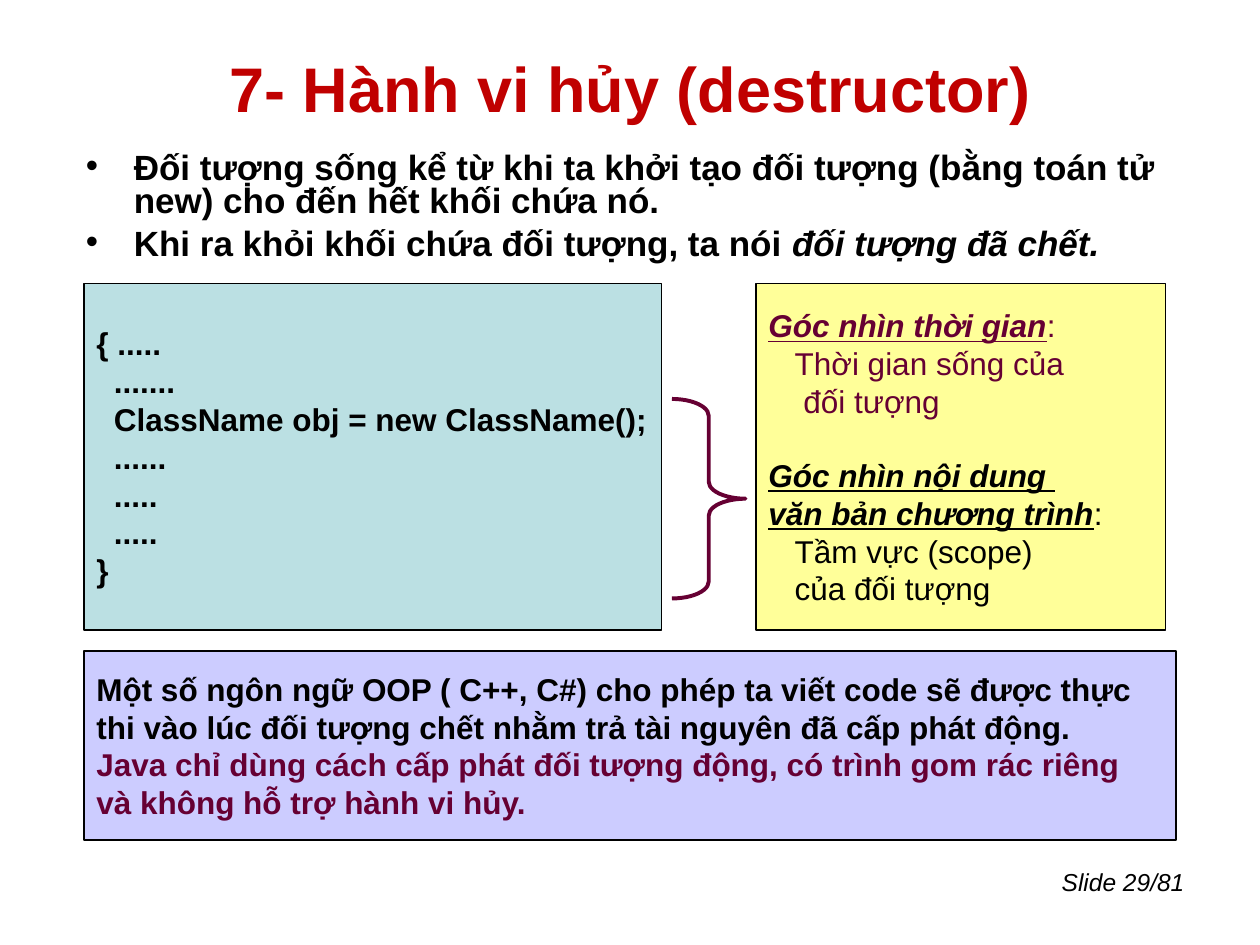
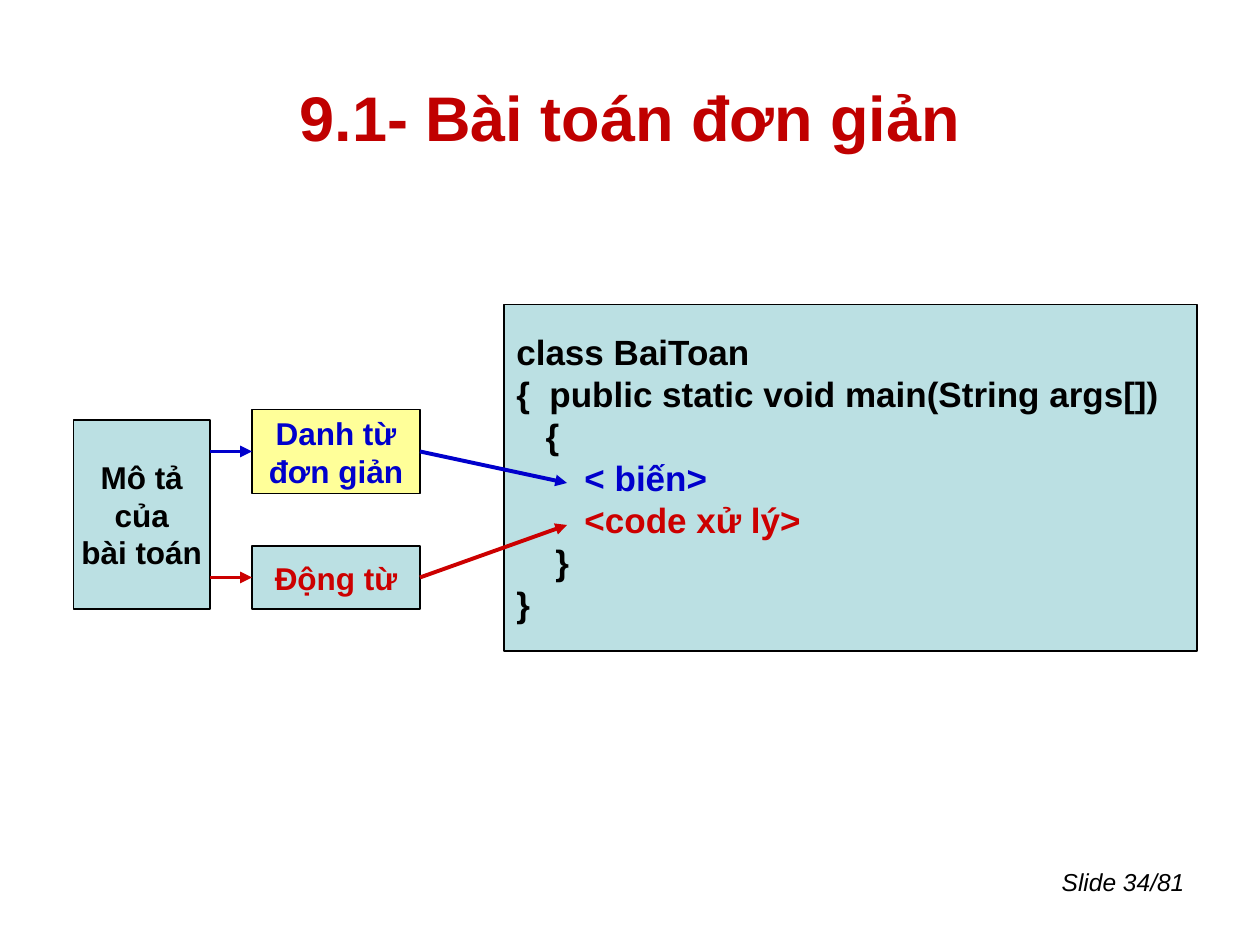
from lxml import etree
from pptx import Presentation, util as u
from pptx.dml.color import RGBColor
from pptx.enum import shapes, text
from pptx.oxml.ns import qn

BLACK = RGBColor(0, 0, 0)
TITLE_RED = RGBColor(0xC0, 0, 0)
RED = RGBColor(0xCC, 0, 0)
BLUE = RGBColor(0, 0, 0xCC)
PLUM = RGBColor(0x66, 0, 0x33)
TEAL = RGBColor(0xBB, 0xE0, 0xE3)
YELLOW = RGBColor(0xFF, 0xFF, 0x99)
LILAC = RGBColor(0xCC, 0xCC, 0xFF)

FONT = "Arial"
COLUMNS, ROWS = 120, 90          # grid over the slide
CELL = u.Inches(10) // COLUMNS
SPACE_EM = 0.278                 # width of one indent step, in ems
SLIDE_TOTAL = 81
LEFT, CENTER, RIGHT = (text.PP_ALIGN.LEFT, text.PP_ALIGN.CENTER, text.PP_ALIGN.RIGHT)


def line(words, color=BLACK, style="b", indent=0, before=0):
    """One paragraph with a single span; style letters: b, i, u."""
    return {"spans": [(words, color, style)], "indent": indent, "before": before}


def lines(*words, color=BLACK):
    return [line(w, color) for w in words]


def heading(words, color, before=0, end=":"):
    para = line(words, color, "biu", before=before)
    if end:
        para["spans"].append((end, color, ""))
    return para


BULLETS = [
    line("Đối tượng sống kể từ khi ta khởi tạo đối tượng (bằng toán tử new) "
         "cho đến hết khối chứa nó.", before=5),
    {"spans": [("Khi ra khỏi khối chứa đối tượng, ta nói ", BLACK, "b"),
               ("đối tượng đã chết.", BLACK, "bi")], "indent": 0, "before": 5},
]
BLOCK_CODE = [
    line("{ ....."),
    *[line(w, indent=2) for w in (".......", "ClassName obj = new ClassName();",
                                  "......", ".....", ".....")],
    line("}"),
]
VIEWPOINTS = [
    heading("Góc nhìn thời gian", PLUM),
    line("Thời gian sống của", PLUM, "", indent=3),
    line("đối tượng", PLUM, "", indent=4),
    heading("Góc nhìn nội dung ", BLACK, before=20.7, end=""),
    heading("văn bản chương trình", BLACK),
    line("Tầm vực (scope)", BLACK, "", indent=3),
    line("của đối tượng", BLACK, "", indent=3),
]
NOTE = [
    *lines("Một số ngôn ngữ OOP ( C++, C#) cho phép ta viết code sẽ được thực",
           "thi vào lúc đối tượng chết nhằm trả tài nguyên đã cấp phát động."),
    *lines("Java chỉ dùng cách cấp phát đối tượng động, có trình gom rác riêng",
           "và không hỗ trợ hành vi hủy.", color=PLUM),
]
CLASS_CODE = [
    line("class BaiToan"),
    line("{  public static void main(String args[])"),
    line("{", indent=3),
    line("< biến>", BLUE, indent=7),
    line("<code xử lý>", RED, indent=7),
    line("}", indent=4),
    line("}"),
]

# area (column, row, columns, rows), fill, paragraphs, alignment, text size
DESTRUCTOR_BOXES = [
    ((8, 27, 55, 33), TEAL, BLOCK_CODE, LEFT, 18),
    ((72, 27, 39, 33), YELLOW, VIEWPOINTS, LEFT, 18),
    ((8, 62, 104, 18), LILAC, NOTE, LEFT, 18),
]
PROBLEM_BOXES = [
    ((7, 40, 13, 18), TEAL, lines("Mô tả", "của", "bài toán"), CENTER, 18),
    ((24, 39, 16, 8), YELLOW, lines("Danh từ", "đơn giản", color=BLUE), CENTER, 18),
    ((24, 52, 16, 6), TEAL, lines("Động từ", color=RED), CENTER, 18),
    ((48, 29, 66, 33), TEAL, CLASS_CODE, LEFT, 20),
]
# start, end, color
PROBLEM_ARROWS = [
    ((20, 43), (24, 43), BLUE),
    ((20, 55), (24, 55), RED),
    ((40, 43), (54, 46), BLUE),
    ((40, 55), (54, 50), RED),
]


def grid(*cells):
    return [u.Emu(round(c * CELL)) for c in cells]


def write(frame, paras, size, align=LEFT, anchor=text.MSO_ANCHOR.TOP, wrap=True):
    frame.word_wrap = wrap
    frame.vertical_anchor = anchor
    for i, content in enumerate(paras):
        para = frame.paragraphs[0] if i == 0 else frame.add_paragraph()
        para.alignment = align
        para.space_before = u.Pt(content["before"])
        if content["indent"]:
            margin = u.Pt(content["indent"] * SPACE_EM * size)
            para._p.get_or_add_pPr().set("marL", str(margin))
        for words, color, style in content["spans"]:
            span = para.add_run()
            span.text = words
            font = span.font
            font.name, font.size = FONT, u.Pt(size)
            font.color.rgb = color
            font.bold, font.italic, font.underline = (s in style for s in "biu")


def add_text(page, area, paras, size, **layout):
    box = page.shapes.add_textbox(*grid(*area))
    write(box.text_frame, paras, size, **layout)
    return box


def add_bullets(page, area, paras, size):
    box = add_text(page, area, paras, size)
    for para in box.text_frame.paragraphs:
        para.line_spacing = 0.8
        props = para._p.get_or_add_pPr()
        props.set("marL", str(u.Inches(0.38)))
        props.set("indent", str(-u.Inches(0.38)))
        etree.SubElement(props, qn("a:buFont")).set("typeface", FONT)
        etree.SubElement(props, qn("a:buChar")).set("char", "•")


def add_box(page, area, fill, paras, align, size):
    box = page.shapes.add_shape(shapes.MSO_SHAPE.RECTANGLE, *grid(*area))
    box.shadow.inherit = False
    box.fill.solid()
    box.fill.fore_color.rgb = fill
    box.line.color.rgb = BLACK
    box.line.width = u.Pt(0.75)
    write(box.text_frame, paras, size, align, text.MSO_ANCHOR.MIDDLE, wrap=False)


def add_brace(page, area):
    brace = page.shapes.add_shape(shapes.MSO_SHAPE.RIGHT_BRACE, *grid(*area))
    brace.shadow.inherit = False
    brace.adjustments[0] = 0.23
    brace.fill.background()
    brace.line.color.rgb = PLUM
    brace.line.width = u.Pt(2.25)


def add_arrow(page, start, end, color):
    arrow = page.shapes.add_connector(shapes.MSO_CONNECTOR.STRAIGHT, *grid(*start, *end))
    arrow.line.color.rgb = color
    arrow.line.width = u.Pt(2.25)
    etree.SubElement(arrow.line._get_or_add_ln(), qn("a:tailEnd")).set("type", "triangle")
    etree.SubElement(arrow._element.spPr, qn("a:effectLst"))


def add_page(deck, title, title_rows, number):
    page = deck.slides.add_slide(deck.slide_layouts[6])
    add_text(page, (95, 82, 19, 6.2), [line(f"Slide {number}/{SLIDE_TOTAL}", style="i")],
             14, align=RIGHT)
    add_text(page, (6, 3.6, 108, title_rows), [line(title, TITLE_RED)], 36,
             align=CENTER, anchor=text.MSO_ANCHOR.MIDDLE)
    return page


def main():
    deck = Presentation()
    deck.slide_width, deck.slide_height = grid(COLUMNS, ROWS)

    page = add_page(deck, "7- Hành vi hủy (destructor)", 9.4, 29)
    add_bullets(page, (7, 14, 106, 13), BULLETS, 20)
    for box in DESTRUCTOR_BOXES:
        add_box(page, *box)
    add_brace(page, (64, 38, 7, 19))

    page = add_page(deck, "9.1- Bài toán đơn giản", 15, 34)
    for box in PROBLEM_BOXES:
        add_box(page, *box)
    for arrow in PROBLEM_ARROWS:
        add_arrow(page, *arrow)

    deck.save("out.pptx")


if __name__ == "__main__":
    main()
